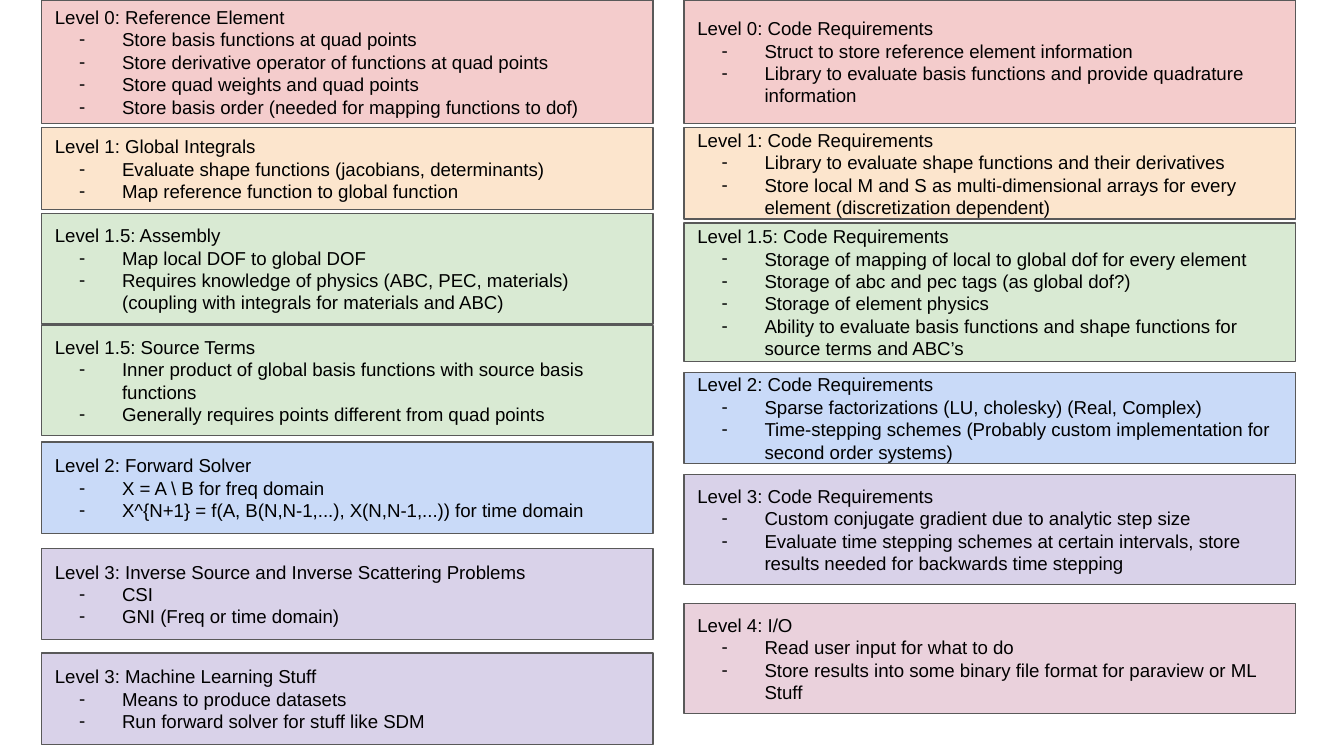
from copy import deepcopy
from typing import NamedTuple

from lxml.etree import SubElement
from pptx import Presentation
from pptx.dml.color import RGBColor
from pptx.enum.shapes import MSO_SHAPE
from pptx.enum.text import MSO_ANCHOR, PP_ALIGN
from pptx.oxml.ns import qn
from pptx.slide import Slide
from pptx.util import Inches, Pt

SLIDE_WIDTH = Inches(10)
SLIDE_HEIGHT = SLIDE_WIDTH * 9 // 16
COLUMN = ROW = SLIDE_WIDTH // 1000
LEVEL_COLUMNS = 455
TASK_COLUMN, CODE_COLUMN = 31, 509
INSET = Inches(0.1)
ITEM_INDENT, DASH_HANG = Inches(0.5), Inches(-0.32)

BLACK = RGBColor(0x00, 0x00, 0x00)
GRAY = RGBColor(0x59, 0x59, 0x59)
RED = RGBColor(0xF4, 0xCC, 0xCC)
ORANGE = RGBColor(0xFC, 0xE5, 0xCD)
GREEN = RGBColor(0xD9, 0xEA, 0xD3)
BLUE = RGBColor(0xC9, 0xDA, 0xF8)
PURPLE = RGBColor(0xD9, 0xD2, 0xE9)
PINK = RGBColor(0xEA, 0xD1, 0xDC)


class Level(NamedTuple):
    """A coloured level with its top row, row count, heading and items."""

    top: int
    rows: int
    color: RGBColor
    heading: str
    items: tuple[str, ...]


TASKS = (
    Level(0, 92, RED, "Level 0: Reference Element", (
        "Store basis functions at quad points",
        "Store derivative operator of functions at quad points",
        "Store quad weights and quad points",
        "Store basis order (needed for mapping functions to dof)")),
    Level(95, 61, ORANGE, "Level 1: Global Integrals", (
        "Evaluate shape functions (jacobians, determinants)",
        "Map reference function to global function")),
    Level(159, 82, GREEN, "Level 1.5: Assembly", (
        "Map local DOF to global DOF",
        "Requires knowledge of physics (ABC, PEC, materials)\v"
        "(coupling with integrals for materials and ABC)")),
    Level(242, 82, GREEN, "Level 1.5: Source Terms", (
        "Inner product of global basis functions with source basis functions",
        "Generally requires points different from quad points")),
    Level(329, 68, BLUE, "Level 2: Forward Solver", (
        "X = A \\ B for freq domain",
        "X^{N+1} = f(A, B(N,N-1,...), X(N,N-1,...)) for time domain")),
    Level(408, 68, PURPLE, "Level 3: Inverse Source and Inverse Scattering Problems", (
        "CSI",
        "GNI (Freq or time domain)")),
    Level(486, 68, PURPLE, "Level 3: Machine Learning Stuff", (
        "Means to produce datasets",
        "Run forward solver for stuff like SDM")),
)

CODE_REQUIREMENTS = (
    Level(0, 92, RED, "Level 0: Code Requirements", (
        "Struct to store reference element information",
        "Library to evaluate basis functions and provide quadrature information")),
    Level(95, 68, ORANGE, "Level 1: Code Requirements", (
        "Library to evaluate shape functions and their derivatives",
        "Store local M and S as multi-dimensional arrays for every element "
        "(discretization dependent)")),
    Level(166, 103, GREEN, "Level 1.5: Code Requirements", (
        "Storage of mapping of local to global dof for every element",
        "Storage of abc and pec tags (as global dof?)",
        "Storage of element physics",
        "Ability to evaluate basis functions and shape functions for "
        "source terms and ABC’s")),
    Level(277, 68, BLUE, "Level 2: Code Requirements", (
        "Sparse factorizations (LU, cholesky) (Real, Complex)",
        "Time-stepping schemes (Probably custom implementation for "
        "second order systems)")),
    Level(353, 82, PURPLE, "Level 3: Code Requirements", (
        "Custom conjugate gradient due to analytic step size",
        "Evaluate time stepping schemes at certain intervals, store "
        "results needed for backwards time stepping")),
    Level(449, 82, PINK, "Level 4: I/O", (
        "Read user input for what to do",
        "Store results into some binary file format for paraview or ML Stuff")),
)


def add_dash(paragraph) -> None:
    """Give a paragraph a hanging black dash."""
    properties = paragraph._p.get_or_add_pPr()
    properties.set("marL", str(ITEM_INDENT))
    properties.set("indent", str(DASH_HANG))
    dash_color = SubElement(properties, qn("a:buClr"))
    SubElement(dash_color, qn("a:srgbClr"), val=str(BLACK))
    SubElement(properties, qn("a:buFont"), typeface="Arial")
    SubElement(properties, qn("a:buChar"), char="-")


def format_text(paragraph) -> None:
    """Format the runs and line breaks of a paragraph."""
    paragraph.alignment = PP_ALIGN.LEFT
    for run in paragraph.runs:
        run.font.name = "Arial"
        run.font.size = Pt(10)
        run.font.color.rgb = BLACK
    for line_break in paragraph._p.findall(qn("a:br")):
        line_break.append(deepcopy(paragraph.runs[0]._r.rPr))


def draw_level(slide: Slide, column: int, level: Level) -> None:
    """Draw one level with its heading and dashed items."""
    box = slide.shapes.add_shape(
        MSO_SHAPE.RECTANGLE, column * COLUMN, level.top * ROW,
        LEVEL_COLUMNS * COLUMN, level.rows * ROW)
    box.shadow.inherit = False
    box.fill.solid()
    box.fill.fore_color.rgb = level.color
    box.line.color.rgb = GRAY
    box.line.width = Pt(0.75)

    frame = box.text_frame
    frame.word_wrap = True
    frame.vertical_anchor = MSO_ANCHOR.MIDDLE
    frame.margin_left = frame.margin_right = INSET
    frame.margin_top = frame.margin_bottom = INSET
    frame.text = level.heading
    for item in level.items:
        paragraph = frame.add_paragraph()
        paragraph.text = item
        add_dash(paragraph)
    for paragraph in frame.paragraphs:
        format_text(paragraph)


def main() -> None:
    """Build the slide of solver levels and their code requirements."""
    presentation = Presentation()
    presentation.slide_width = SLIDE_WIDTH
    presentation.slide_height = SLIDE_HEIGHT
    slide = presentation.slides.add_slide(presentation.slide_layouts[6])
    for column, levels in ((TASK_COLUMN, TASKS), (CODE_COLUMN, CODE_REQUIREMENTS)):
        for level in levels:
            draw_level(slide, column, level)
    presentation.save("out.pptx")


if __name__ == "__main__":
    main()
